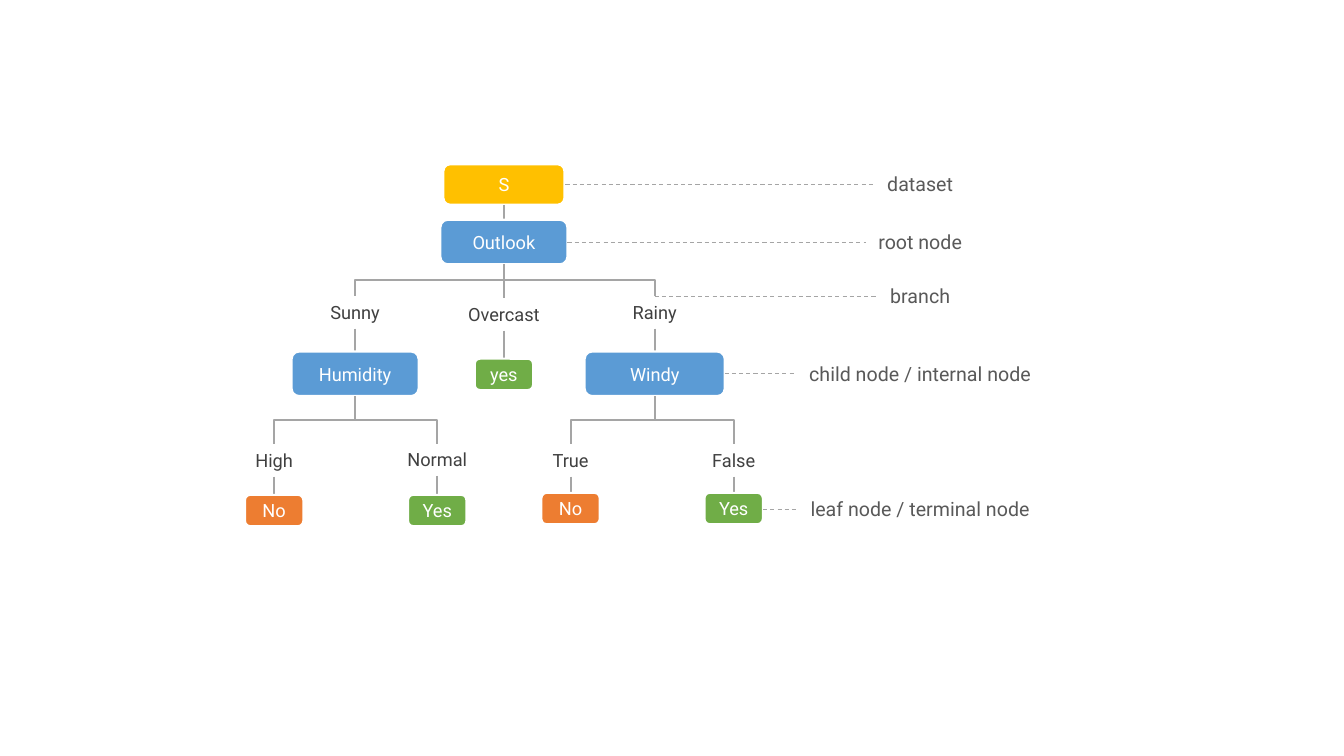
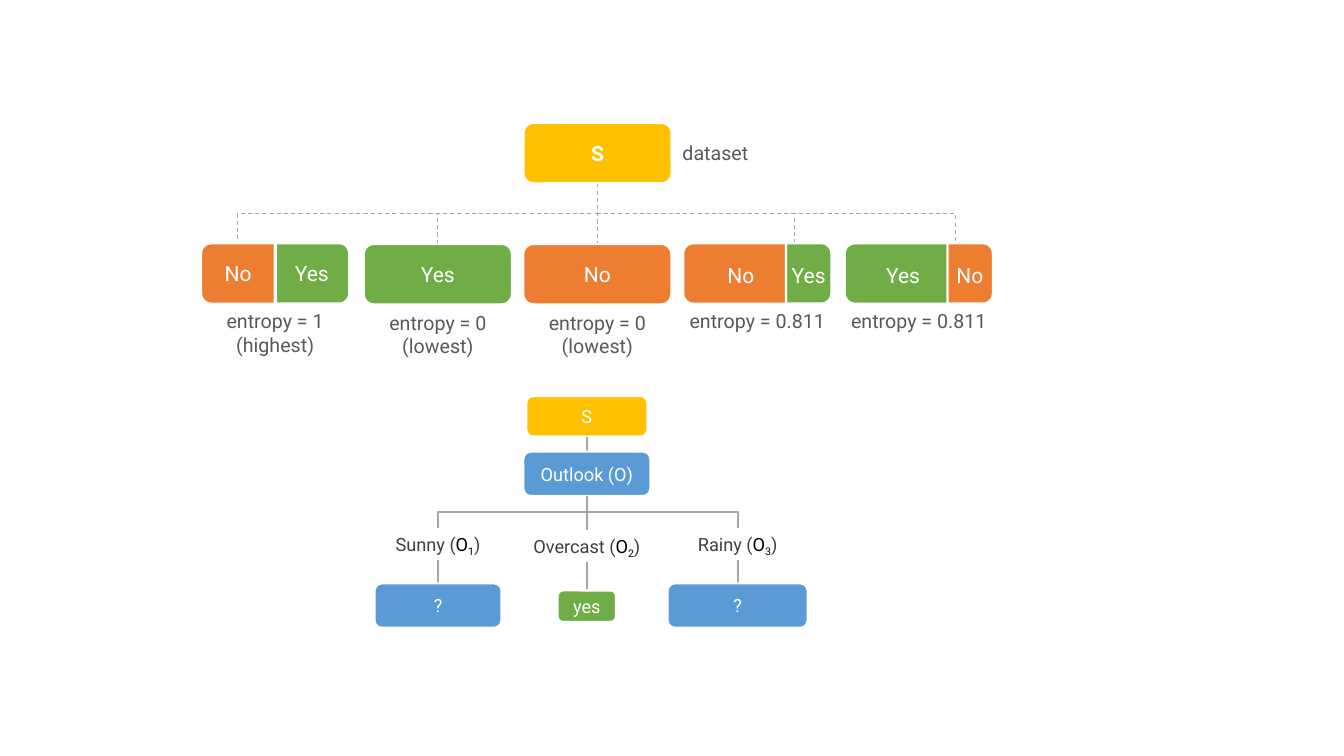
import lxml.etree
import pptx
import pptx.dml.color
import pptx.enum.dml
import pptx.enum.shapes
import pptx.enum.text
import pptx.oxml.ns
import pptx.util

Cm = pptx.util.Cm
Pt = pptx.util.Pt
RGBColor = pptx.dml.color.RGBColor
PRESET = pptx.enum.shapes.MSO_SHAPE
CONNECTOR = pptx.enum.shapes.MSO_CONNECTOR

WHITE = RGBColor(0xFF, 0xFF, 0xFF)
BLACK = RGBColor(0, 0, 0)
YELLOW = RGBColor(0xFF, 0xC0, 0x00)
BLUE = RGBColor(0x5B, 0x9B, 0xD5)
GREEN = RGBColor(0x70, 0xAD, 0x47)
ORANGE = RGBColor(0xED, 0x7D, 0x31)
GREY = RGBColor(0xA5, 0xA5, 0xA5)
BRANCH_TEXT = RGBColor(0x40, 0x40, 0x40)
NOTE_TEXT = RGBColor(0x59, 0x59, 0x59)

FONT = "Roboto"
NODE_SIZE, NOTE_SIZE, CARD_SIZE = 13, 14, 15
NODE_HEIGHT = 1.12
LEAF_WIDTH, LEAF_HEIGHT = 1.47, 0.79
LABEL_HEIGHT = 0.81
NOTE_HEIGHT = 0.86
CARD_WIDTH, CARD_HEIGHT = 3.73, 1.52
CARD_TOP = 6.13


def style_run(run, size, color, bold=None):
    run.font.name = FONT
    run.font.size = Pt(size)
    run.font.color.rgb = color
    run.font.bold = bold


def style_text(frame, size, color, bold=None):
    for paragraph in frame.paragraphs:
        paragraph.alignment = pptx.enum.text.PP_ALIGN.CENTER
        for run in paragraph.runs:
            style_run(run, size, color, bold)


def add_block(slide, preset, left, top, width, height, fill):
    block = slide.shapes.add_shape(preset, Cm(left), Cm(top), Cm(width), Cm(height))
    block.shadow.inherit = False
    block.fill.solid()
    block.fill.fore_color.rgb = fill
    block.line.color.rgb = WHITE
    block.line.width = Pt(1.5)
    return block


def add_node(slide, text, center, top, width, height, fill, size=NODE_SIZE, bold=None):
    node = add_block(slide, PRESET.ROUNDED_RECTANGLE, center - width / 2, top,
                     width, height, fill)
    node.text_frame.text = text
    node.text_frame.vertical_anchor = pptx.enum.text.MSO_ANCHOR.MIDDLE
    style_text(node.text_frame, size, WHITE, bold)


def add_label(slide, text, center, top, width, height, size, color):
    label = slide.shapes.add_textbox(Cm(center - width / 2), Cm(top), Cm(width), Cm(height))
    frame = label.text_frame
    frame.word_wrap = False
    frame.auto_size = pptx.enum.text.MSO_AUTO_SIZE.SHAPE_TO_FIT_TEXT
    frame.text = text
    style_text(frame, size, color)
    return frame


def add_subset_symbol(paragraph, index):
    for text, color in (("O", BLACK), (index, BLACK), (")", BRANCH_TEXT)):
        run = paragraph.add_run()
        run.text = text
        style_run(run, NODE_SIZE, color)
        if text == index:
            run._r.get_or_add_rPr().set("baseline", "-25000")


def add_line(slide, x1, y1, x2, y2, dashed=False, kind=CONNECTOR.STRAIGHT):
    line = slide.shapes.add_connector(kind, Cm(x1), Cm(y1), Cm(x2), Cm(y2))
    line.line.color.rgb = GREY
    line.line.width = Pt(0.75 if dashed else 1.5)
    if dashed:
        line.line.dash_style = pptx.enum.dml.MSO_LINE.DASH
    lxml.etree.SubElement(line._element.spPr, pptx.oxml.ns.qn("a:effectLst"))
    return line


def add_drop(slide, x1, y1, x2, y2, dashed=False):
    if x1 == x2:
        add_line(slide, x1, y1, x2, y2, dashed)
        return
    to_right = x2 > x1
    middle_x, middle_y = (x1 + x2) / 2, (y1 + y2) / 2
    half_drop = (y2 - y1) / 2 * (1 if to_right else -1)
    half_span = abs(x2 - x1) / 2
    elbow = add_line(slide, middle_x + half_drop, middle_y - half_span,
                     middle_x - half_drop, middle_y + half_span, dashed, CONNECTOR.ELBOW)
    elbow._element.spPr.xfrm.set("rot", "16200000" if to_right else "5400000")


def add_branch(slide, start, center, label, label_top, label_width,
               child, child_top, child_width, child_height, fill, index=None):
    add_drop(slide, *start, center, label_top)
    frame = add_label(slide, label, center, label_top, label_width, LABEL_HEIGHT,
                      NODE_SIZE, BRANCH_TEXT)
    if index:
        add_subset_symbol(frame.paragraphs[0], index)
    add_line(slide, center, label_top + LABEL_HEIGHT, center, child_top)
    add_node(slide, child, center, child_top, child_width, child_height, fill)


def add_outlook_tree(slide, center, top, root, branches):
    add_node(slide, "S", center, top, 3.05, 1.02, YELLOW)
    add_line(slide, center, top + 1.02, center, top + 1.4)
    add_node(slide, root, center, top + 1.4, 3.2, NODE_HEIGHT, BLUE)
    places = (
        (-3.75, 3.33, 4.72, 3.2, NODE_HEIGHT, BLUE),
        (0, 3.38, 4.9, LEAF_WIDTH, LEAF_HEIGHT, GREEN),
        (3.8, 3.33, 4.72, 3.53, NODE_HEIGHT, BLUE),
    )
    for place, (label, label_width, child, index) in zip(places, branches):
        shift, label_top, child_top, width, height, fill = place
        add_branch(slide, (center, top + 2.52), center + shift, label, top + label_top,
                   label_width, child, top + child_top, width, height, fill, index)


def add_note(slide, text, width, start, y):
    center = 23.19
    add_label(slide, text, center, y - NOTE_HEIGHT / 2, width, NOTE_HEIGHT,
              NOTE_SIZE, NOTE_TEXT)
    add_line(slide, start, y, center - width / 2, y, dashed=True)


def add_card_half(slide, left, width, fill, rotation):
    half = add_block(slide, PRESET.ROUND_2_SAME_RECTANGLE,
                     left + (width - CARD_HEIGHT) / 2,
                     CARD_TOP + (CARD_HEIGHT - width) / 2, CARD_HEIGHT, width, fill)
    half.rotation = rotation


def add_split_card(slide, left, left_width, answers, centers, text_top):
    fills = [GREEN if answer == "Yes" else ORANGE for answer in answers]
    add_card_half(slide, left + CARD_WIDTH - 1.85, 1.85, fills[1], 90)
    add_card_half(slide, left, left_width, fills[0], 270)
    for answer, center in zip(answers, centers):
        add_label(slide, answer, left + center, text_top, 1.4, 0.89, CARD_SIZE, WHITE)


def add_entropy(slide, text, left, top, width, height):
    add_label(slide, text, left + CARD_WIDTH / 2, top, width, height, NOTE_SIZE, NOTE_TEXT)


def build_tree_slide(slide):
    add_outlook_tree(slide, 12.7, 4.14, "Outlook", (
        ("Sunny", 1.85, "Humidity", None),
        ("Overcast", 2.44, "yes", None),
        ("Rainy", 1.73, "Windy", None),
    ))
    humidity, windy = (8.95, 9.98), (16.5, 9.98)
    for start, center, label, label_top, width, answer, leaf_top, fill in (
        (humidity, 6.91, "High", 11.2, 1.52, "No", 12.47, ORANGE),
        (humidity, 11.02, "Normal", 11.18, 2.08, "Yes", 12.47, GREEN),
        (windy, 14.38, "True", 11.2, 1.47, "No", 12.42, ORANGE),
        (windy, 18.49, "False", 11.2, 1.65, "Yes", 12.42, GREEN),
    ):
        add_branch(slide, start, center, label, label_top, width,
                   answer, leaf_top, LEAF_WIDTH, LEAF_HEIGHT, fill)
    for note in (
        ("dataset", 2.34, 14.25, 4.65),
        ("root node", 2.72, 14.3, 6.1),
        ("branch", 2.13, 16.5, 7.47),
        ("child node / internal node", 6.3, 18.26, 9.42),
        ("leaf node / terminal node", 6.22, 19.23, 12.83),
    ):
        add_note(slide, *note)


def build_entropy_slide(slide):
    dataset_center, dataset_top = 15.06, 3.1
    for drop in (5.99, 11.02, dataset_center, 20.02, 24.08):
        add_drop(slide, dataset_center, dataset_top + CARD_HEIGHT, drop, CARD_TOP, dashed=True)
    add_node(slide, "S", dataset_center, dataset_top, CARD_WIDTH, CARD_HEIGHT, YELLOW,
             CARD_SIZE, True)
    add_label(slide, "dataset", 18.03, 3.43, 2.34, NOTE_HEIGHT, NOTE_SIZE, NOTE_TEXT)

    for left, left_width, answers, centers, text_top in (
        (5.07, 1.85, ("No", "Yes"), (0.93, 2.79), 6.45),
        (17.22, 2.59, ("No", "Yes"), (1.45, 3.16), 6.5),
        (21.29, 2.59, ("Yes", "No"), (1.47, 3.15), 6.5),
    ):
        add_split_card(slide, left, left_width, answers, centers, text_top)
    for answer, left, fill in (("Yes", 9.17, GREEN), ("No", 13.19, ORANGE)):
        add_node(slide, answer, left + CARD_WIDTH / 2, CARD_TOP + 0.02, CARD_WIDTH,
                 CARD_HEIGHT, fill, CARD_SIZE)
        add_entropy(slide, "entropy = 0\n(lowest)", left, 7.7, 3.12, 1.45)
    add_entropy(slide, "entropy = 1\n(highest)", 5.07, 7.67, 3.12, 1.45)
    for left in (17.22, 21.29):
        add_entropy(slide, "entropy = 0.811", left, 7.67, 4.14, NOTE_HEIGHT)

    add_outlook_tree(slide, 14.79, 9.98, "Outlook (O)", (
        ("Sunny (", 2.82, "?", "1"),
        ("Overcast (", 3.38, "yes", "2"),
        ("Rainy (", 2.69, "?", "3"),
    ))


def main():
    deck = pptx.Presentation()
    deck.slide_width, deck.slide_height = Cm(33.87), Cm(19.05)
    for build in (build_tree_slide, build_entropy_slide):
        build(deck.slides.add_slide(deck.slide_layouts[6]))
    deck.save("out.pptx")


main()
